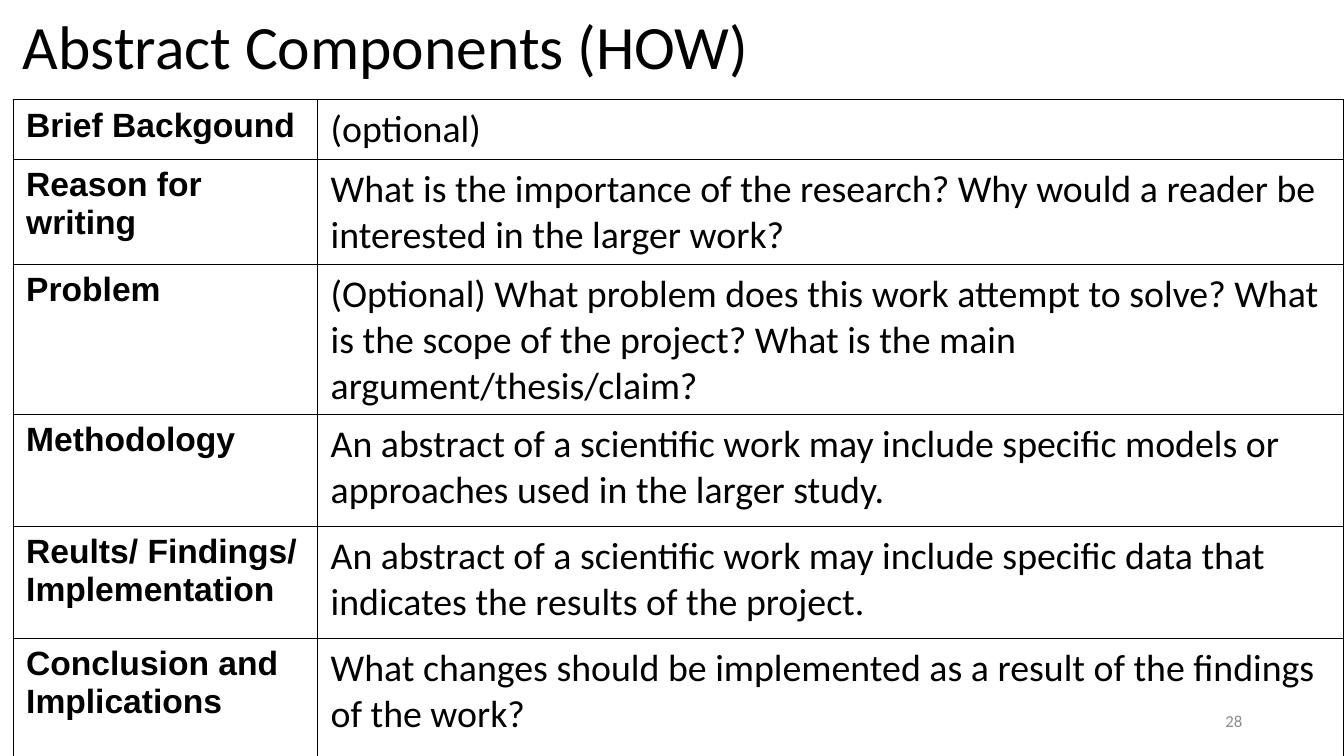
"""Build the slide on the components of an abstract."""
from pptx import Presentation
from pptx.dml.color import RGBColor
from pptx.enum.text import MSO_ANCHOR, PP_ALIGN
from pptx.oxml import parse_xml
from pptx.oxml.ns import nsdecls
from pptx.util import Inches, Pt

BLACK = RGBColor(0x00, 0x00, 0x00)
GRAY = RGBColor(0x8C, 0x8C, 0x8C)

COLUMN_WIDTHS = [3.02, 10.18]
COLUMN_FONTS = [
    {"name": "Arial", "size": Pt(24), "bold": True},
    {"name": "Calibri", "size": Pt(27), "bold": False},
]
COMPONENTS = [
    (0.58, "Brief Backgound", "(optional)"),
    (1.02, "Reason for writing",
     "What is the importance of the research? Why would a reader be "
     "interested in the larger work?"),
    (1.47, "Problem",
     "(Optional) What problem does this work attempt to solve? What is the "
     "scope of the project? What is the main argument/thesis/claim?"),
    (1.11, "Methodology",
     "An abstract of a scientific work may include specific models or "
     "approaches used in the larger study."),
    (1.11, "Reults/ Findings/ Implementation",
     "An abstract of a scientific work may include specific data that "
     "indicates the results of the project."),
    (1.47, "Conclusion and Implications",
     "What changes should be implemented as a result of the findings of "
     "the work?"),
]


def write(tf, text, color, font):
    p = tf.paragraphs[0]
    r = p.add_run()
    r.text = text
    r.font.color.rgb = color
    for name, value in font.items():
        setattr(r.font, name, value)
    return p


def add_label(s, box, text, color, size):
    tf = s.shapes.add_textbox(*map(Inches, box)).text_frame
    tf.word_wrap = True
    tf.vertical_anchor = MSO_ANCHOR.MIDDLE
    return write(tf, text, color, {"name": "Calibri", "size": Pt(size)})


prs = Presentation()
prs.slide_width, prs.slide_height = Inches(13.33), Inches(7.5)
s = prs.slides.add_slide(prs.slide_layouts[6])

p = add_label(s, (0.13, 0, 9.96, 0.99), "Abstract Components (HOW)", BLACK, 44)
p.line_spacing = 0.9
p = add_label(s, (9.42, 6.95, 3, 0.4), "28", GRAY, 12)
p.alignment = PP_ALIGN.RIGHT

table = s.shapes.add_table(
    len(COMPONENTS), len(COLUMN_WIDTHS),
    Inches(0.13), Inches(0.99), Inches(13.2), Inches(6.76)).table
table.first_row = table.horz_banding = False
for column, width in zip(table.columns, COLUMN_WIDTHS):
    column.width = Inches(width)

for row, (height, *texts) in zip(table.rows, COMPONENTS):
    row.height = Inches(height)
    for cell, text, font in zip(row.cells, texts, COLUMN_FONTS):
        cell.margin_left = cell.margin_right = Inches(0.13)
        cell.margin_top = cell.margin_bottom = Inches(0.07)
        write(cell.text_frame, text, BLACK, font)
        tc_pr = cell._tc.get_or_add_tcPr()
        for side in ("lnL", "lnR", "lnT", "lnB"):
            tc_pr.append(parse_xml(
                f'<a:{side} {nsdecls("a")} w="{Pt(1)}"><a:solidFill>'
                f'<a:srgbClr val="{BLACK}"/></a:solidFill></a:{side}>'))
        cell.fill.background()

prs.save("out.pptx")
